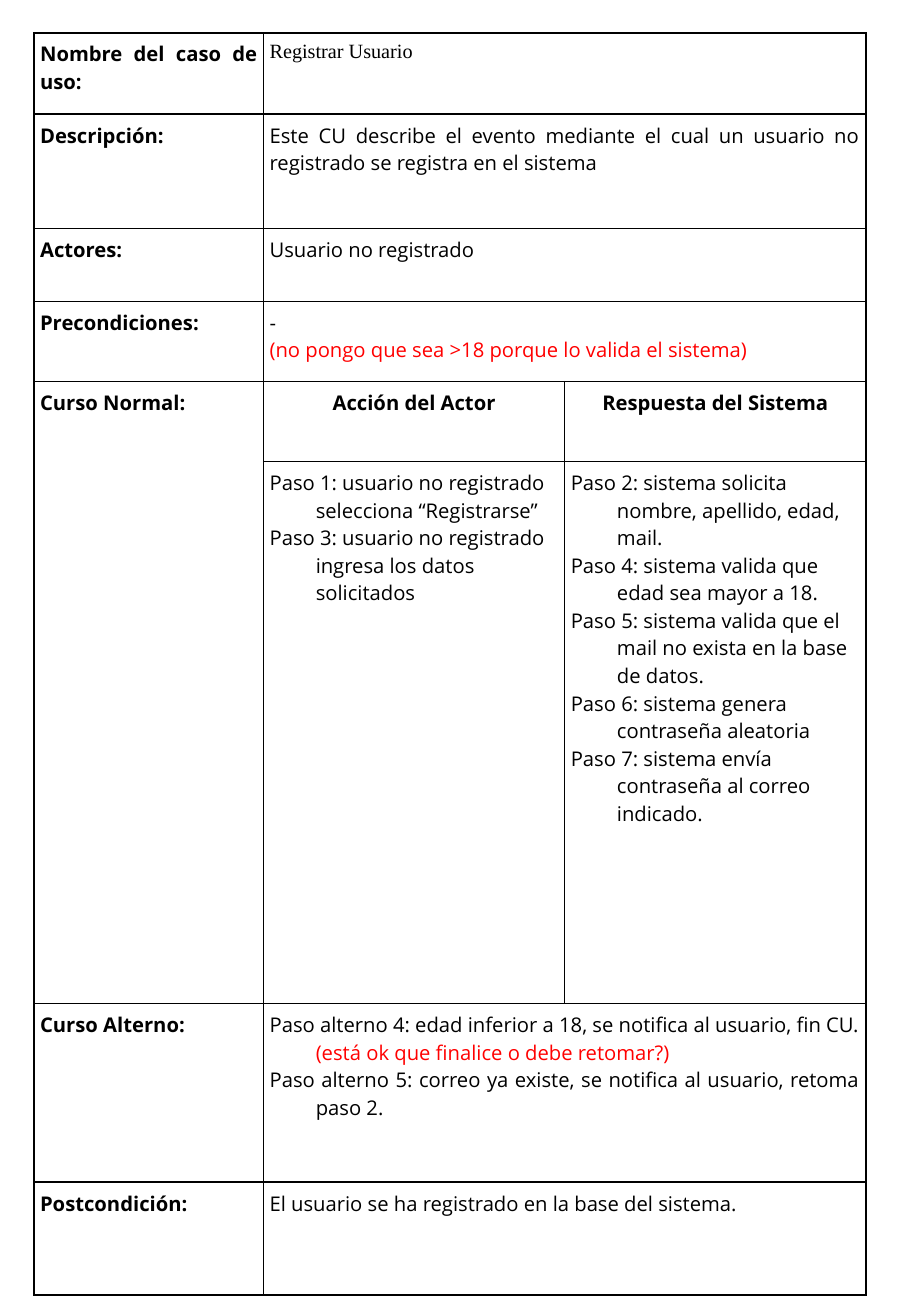
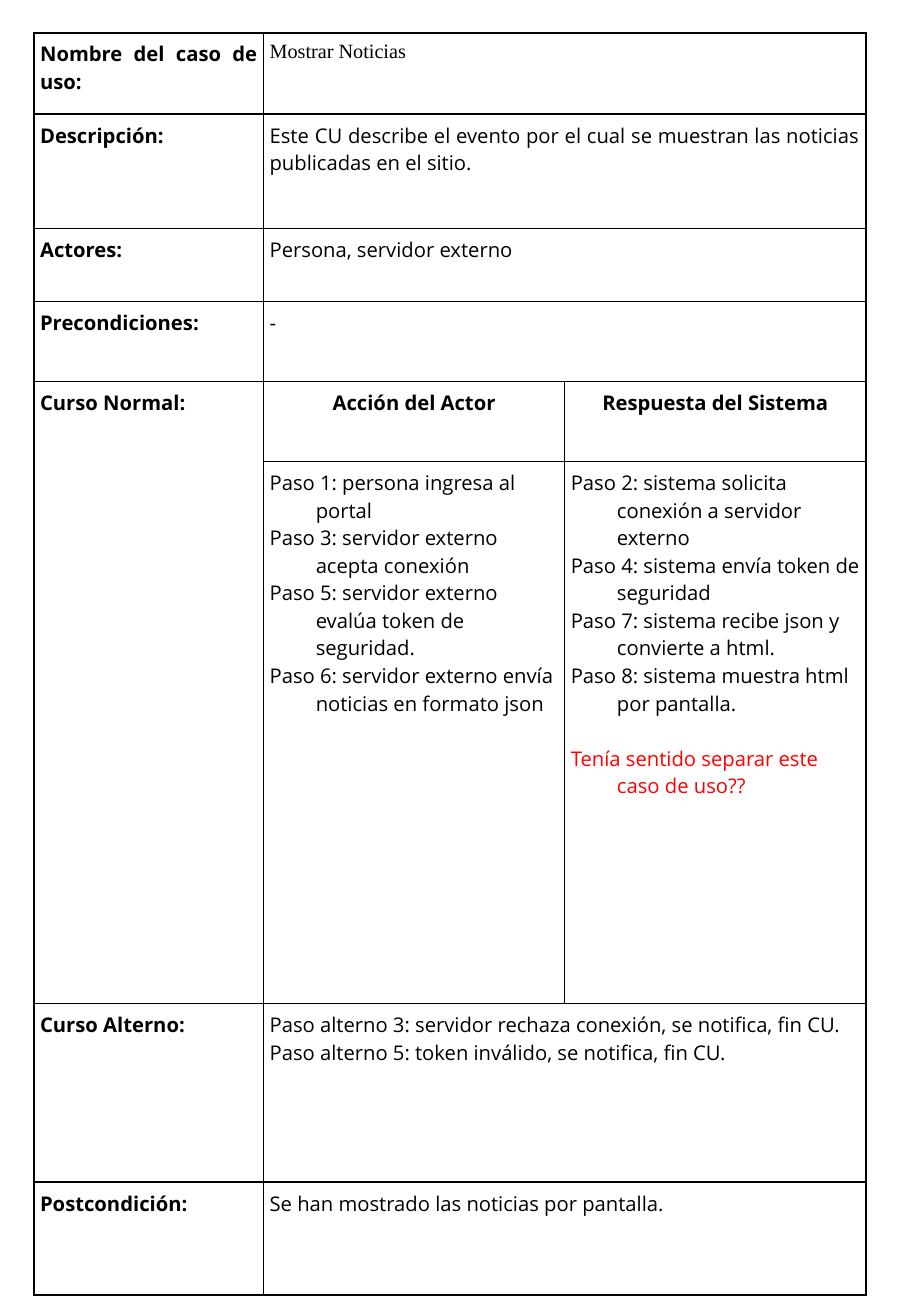
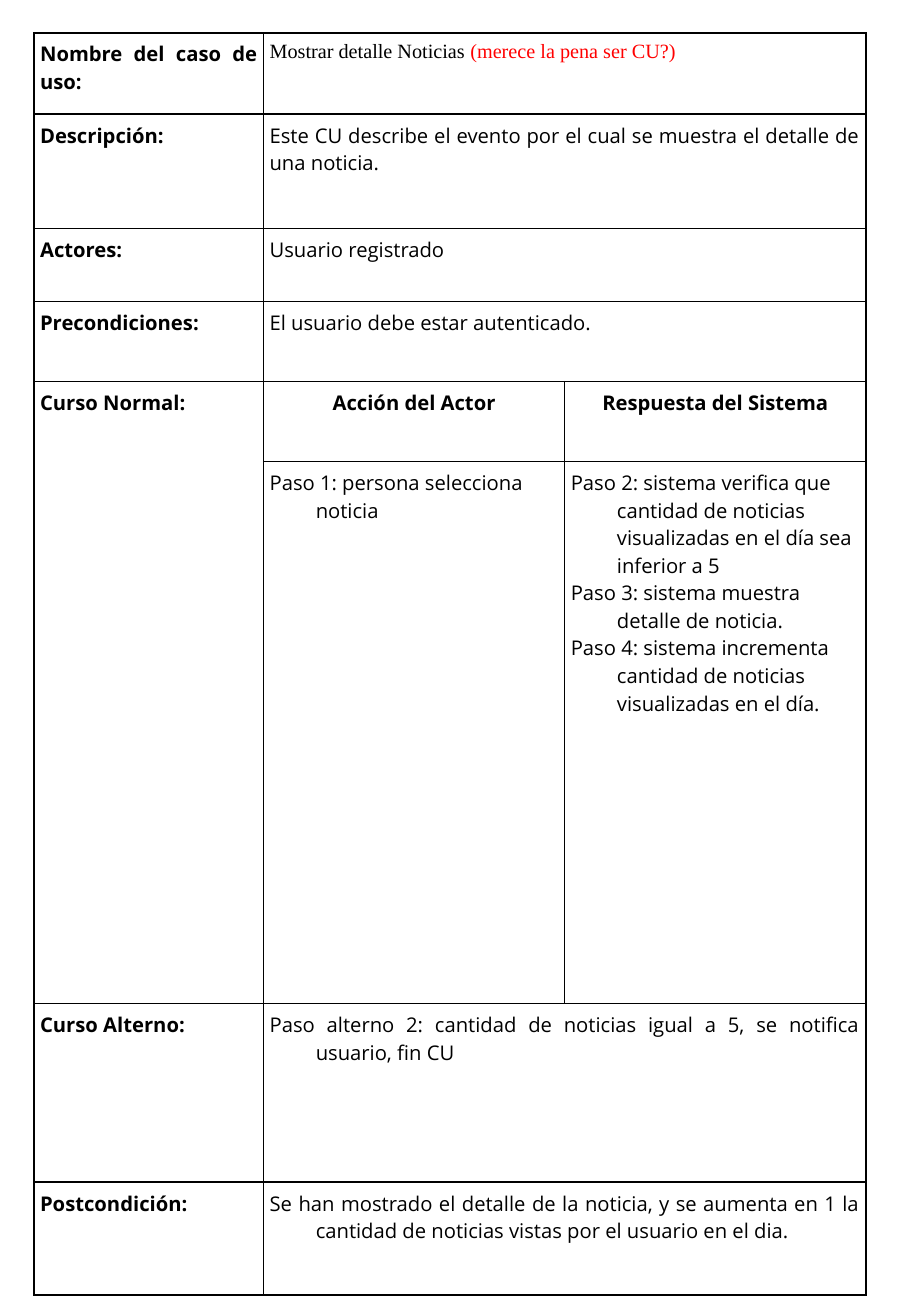
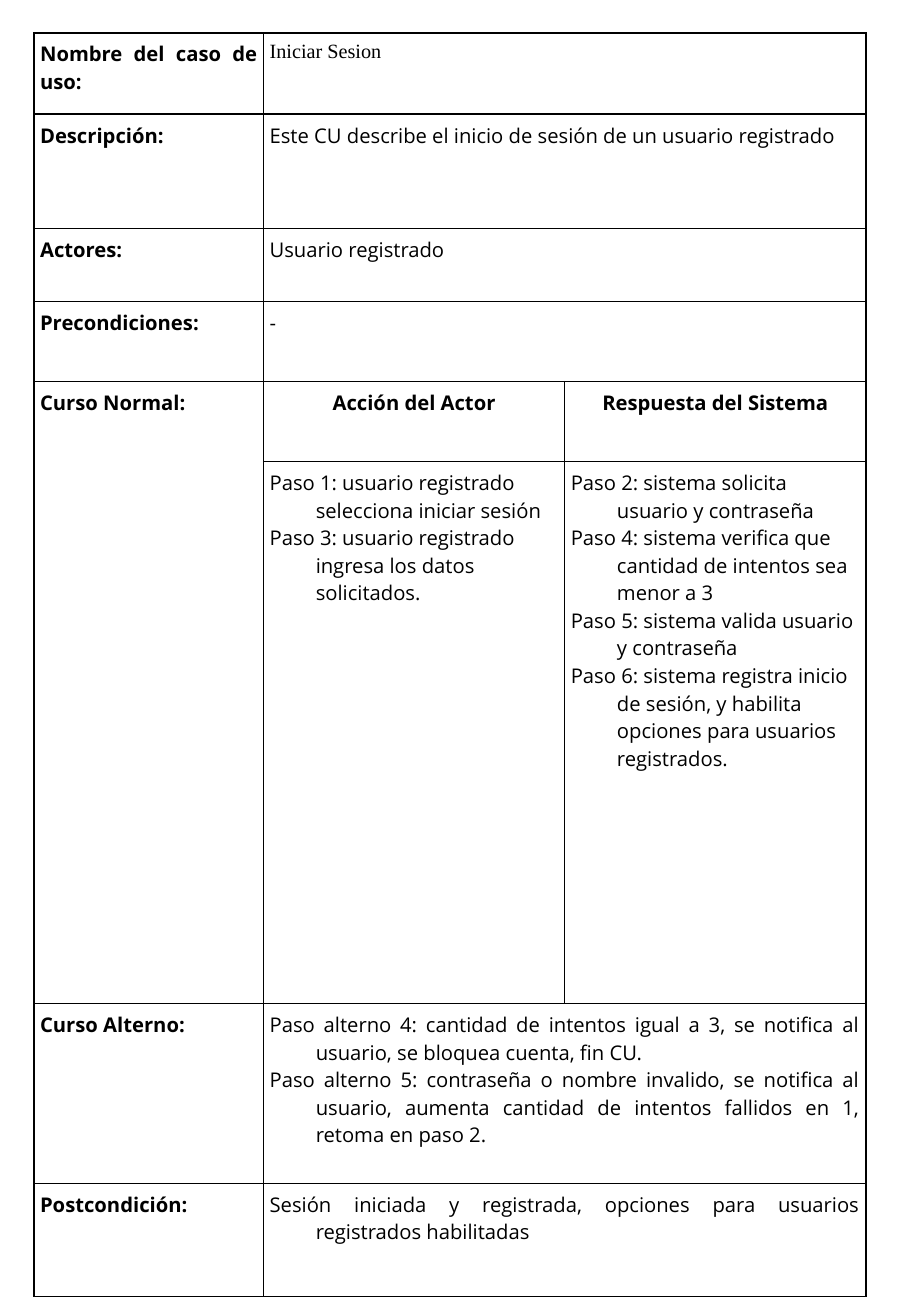
from lxml import etree
from pptx import Presentation
from pptx import util as u
from pptx.dml.color import RGBColor
from pptx.enum import text
from pptx.oxml import ns

# Content: a paragraph is a string, or a (text, doubt) pair whose doubt is red
USE_CASES = [
    {
        "nombre": ["Registrar Usuario"],
        "descripcion": ["Este CU describe el evento mediante el cual un usuario no "
                        "registrado se registra en el sistema"],
        "actores": ["Usuario no registrado"],
        "precondiciones": ["-", ("", "(no pongo que sea >18 porque lo valida el sistema)")],
        "actor": ["Paso 1: usuario no registrado selecciona “Registrarse”",
                  "Paso 3: usuario no registrado ingresa los datos solicitados"],
        "sistema": ["Paso 2: sistema solicita nombre, apellido, edad, mail.",
                    "Paso 4: sistema valida que edad sea mayor a 18.",
                    "Paso 5: sistema valida que el mail no exista en la base de datos.",
                    "Paso 6: sistema genera contraseña aleatoria",
                    "Paso 7: sistema envía contraseña al correo indicado."],
        "alterno": [("Paso alterno 4: edad inferior a 18, se notifica al usuario, fin CU. ",
                     "(está ok que finalice o debe retomar?)"),
                    "Paso alterno 5: correo ya existe, se notifica al usuario, "
                    "retoma paso 2."],
        "postcondicion": ["El usuario se ha registrado en la base del sistema."],
    },
    {
        "nombre": ["Mostrar Noticias"],
        "descripcion": ["Este CU describe el evento por el cual se muestran las noticias "
                        "publicadas en el sitio."],
        "actores": ["Persona, servidor externo"],
        "precondiciones": ["-"],
        "actor": ["Paso 1: persona ingresa al portal",
                  "Paso 3: servidor externo acepta conexión",
                  "Paso 5: servidor externo evalúa token de seguridad.",
                  "Paso 6: servidor externo envía noticias en formato json"],
        "sistema": ["Paso 2: sistema solicita conexión a servidor externo",
                    "Paso 4: sistema envía token de seguridad",
                    "Paso 7: sistema recibe json y convierte a html.",
                    "Paso 8: sistema muestra html por pantalla.",
                    ("", "Tenía sentido separar este caso de uso??")],
        "gap_before_last": 16.3,
        "alterno": ["Paso alterno 3: servidor rechaza conexión, se notifica, fin CU.",
                    "Paso alterno 5: token inválido, se notifica, fin CU."],
        "postcondicion": ["Se han mostrado las noticias por pantalla."],
    },
    {
        "nombre": [("Mostrar detalle Noticias", " (merece la pena ser CU?)")],
        "descripcion": ["Este CU describe el evento por el cual se muestra el detalle de "
                        "una noticia."],
        "actores": ["Usuario registrado"],
        "precondiciones": ["El usuario debe estar autenticado."],
        "actor": ["Paso 1: persona selecciona noticia"],
        "sistema": ["Paso 2: sistema verifica que cantidad de noticias visualizadas en "
                    "el día sea inferior a 5",
                    "Paso 3: sistema muestra detalle de noticia.",
                    "Paso 4: sistema incrementa cantidad de noticias visualizadas en "
                    "el día."],
        "alterno": ["Paso alterno 2: cantidad de noticias igual a 5, se notifica "
                    "usuario, fin CU"],
        "postcondicion": ["Se han mostrado el detalle de la noticia, y se aumenta en 1 la "
                          "cantidad de noticias vistas por el usuario en el dia."],
    },
    {
        "nombre": ["Iniciar Sesion"],
        "descripcion": ["Este CU describe el inicio de sesión de un usuario registrado"],
        "actores": ["Usuario registrado"],
        "precondiciones": ["-"],
        "actor": ["Paso 1: usuario registrado selecciona iniciar sesión",
                  "Paso 3: usuario registrado ingresa los datos solicitados."],
        "sistema": ["Paso 2: sistema solicita usuario y contraseña",
                    "Paso 4: sistema verifica que cantidad de intentos sea menor a 3",
                    "Paso 5: sistema valida usuario y contraseña",
                    "Paso 6: sistema registra inicio de sesión, y habilita opciones "
                    "para usuarios registrados."],
        "alterno": ["Paso alterno 4: cantidad de intentos igual a 3, se notifica al "
                    "usuario, se bloquea cuenta, fin CU.",
                    "Paso alterno 5: contraseña o nombre invalido, se notifica al usuario, "
                    "aumenta cantidad de intentos fallidos en 1, retoma en paso 2."],
        "alterno_height": 1.48,
        "postcondicion": ["Sesión iniciada y registrada, opciones para usuarios "
                          "registrados habilitadas"],
    },
]

# Shared form: (row, label, field); the normal course fills rows 4 and 5
FIELDS = [
    (0, "Nombre del caso de uso:", "nombre"),
    (1, "Descripción:", "descripcion"),
    (2, "Actores:", "actores"),
    (3, "Precondiciones:", "precondiciones"),
    (6, "Curso Alterno:", "alterno"),
    (7, "Postcondición:", "postcondicion"),
]
COURSE_ROW, STEPS_ROW, ALTERNATE_ROW = 4, 5, 6
COURSES = [(1, "Acción del Actor", "actor"), (2, "Respuesta del Sistema", "sistema")]
COLUMNS = [1.89, 2.48, 2.48]
ROWS = [0.67, 0.94, 0.6, 0.66, 0.66, 4.46, 1.47, 0.93]
LEFT, TOP = 0.28, 0.27
HANGING = 0.38
COLORS = {"text": "000000", "doubt": "FF0000", "border": "000000"}
BODY_FONT, NAME_FONT = "Open Sans", "Times New Roman"
JUSTIFY, CENTER = text.PP_ALIGN.JUSTIFY, text.PP_ALIGN.CENTER


def write(cell, paragraphs, *, font=BODY_FONT, bold=False, align=JUSTIFY,
          hanging=False, gap_before_last=0):
    frame = cell.text_frame
    for i, pieces in enumerate(paragraphs):
        para = frame.add_paragraph() if i else frame.paragraphs[0]
        para.alignment = align
        if hanging:
            props = para._p.get_or_add_pPr()
            props.set("marL", str(u.Inches(HANGING)))
            props.set("indent", str(-u.Inches(HANGING)))
        if gap_before_last and i == len(paragraphs) - 1:
            para.space_before = u.Pt(gap_before_last)
        if isinstance(pieces, str):
            pieces = (pieces,)
        for piece, color in zip(pieces, ("text", "doubt")):
            if piece:
                run = para.add_run()
                run.text = piece
                run.font.name = font
                run.font.size = u.Pt(12)
                run.font.bold = bold
                run.font.color.rgb = RGBColor.from_string(COLORS[color])


def style_cell(cell):
    cell.fill.background()
    cell.margin_left = cell.margin_right = u.Inches(0.05)
    cell.margin_top = cell.margin_bottom = u.Inches(0.06)
    props = cell._tc.get_or_add_tcPr()
    for i, side in enumerate(("lnL", "lnR", "lnT", "lnB")):
        line = etree.Element(ns.qn(f"a:{side}"), w=str(u.Pt(1)))
        fill = etree.SubElement(line, ns.qn("a:solidFill"))
        etree.SubElement(fill, ns.qn("a:srgbClr"), val=COLORS["border"])
        props.insert(i, line)


def add_form(slide, row_heights):
    form = slide.shapes.add_table(
        len(row_heights), len(COLUMNS), u.Inches(LEFT), u.Inches(TOP),
        u.Inches(sum(COLUMNS)), u.Inches(sum(row_heights))).table
    form.first_row = form.horz_banding = False
    for column, width in zip(form.columns, COLUMNS):
        column.width = u.Inches(width)
    for row, height in zip(form.rows, row_heights):
        row.height = u.Inches(height)
    for cell in form.iter_cells():
        style_cell(cell)
    for row, _, _ in FIELDS:
        form.cell(row, 1).merge(form.cell(row, 2))
    form.cell(COURSE_ROW, 0).merge(form.cell(STEPS_ROW, 0))
    return form


def add_use_case(slide, case):
    heights = list(ROWS)
    heights[ALTERNATE_ROW] = case.get("alterno_height", ROWS[ALTERNATE_ROW])
    form = add_form(slide, heights)

    # Labels and their values
    for row, label, field in FIELDS:
        hanging = row > COURSE_ROW
        write(form.cell(row, 0), [label], bold=True, hanging=hanging)
        write(form.cell(row, 1), case[field], hanging=hanging,
              font=NAME_FONT if field == "nombre" else BODY_FONT)

    # Normal course: actor and system side by side
    write(form.cell(COURSE_ROW, 0), ["Curso Normal:"], bold=True, hanging=True)
    for column, heading, field in COURSES:
        write(form.cell(COURSE_ROW, column), [heading], bold=True, align=CENTER,
              hanging=True)
        write(form.cell(STEPS_ROW, column), case[field], align=text.PP_ALIGN.LEFT,
              hanging=True,
              gap_before_last=case.get("gap_before_last", 0) if field == "sistema" else 0)


def main():
    deck = Presentation()
    deck.slide_width, deck.slide_height = u.Inches(7.5), u.Inches(10.83)
    for case in USE_CASES:
        add_use_case(deck.slides.add_slide(deck.slide_layouts[6]), case)
    deck.save("out.pptx")


if __name__ == "__main__":
    main()
